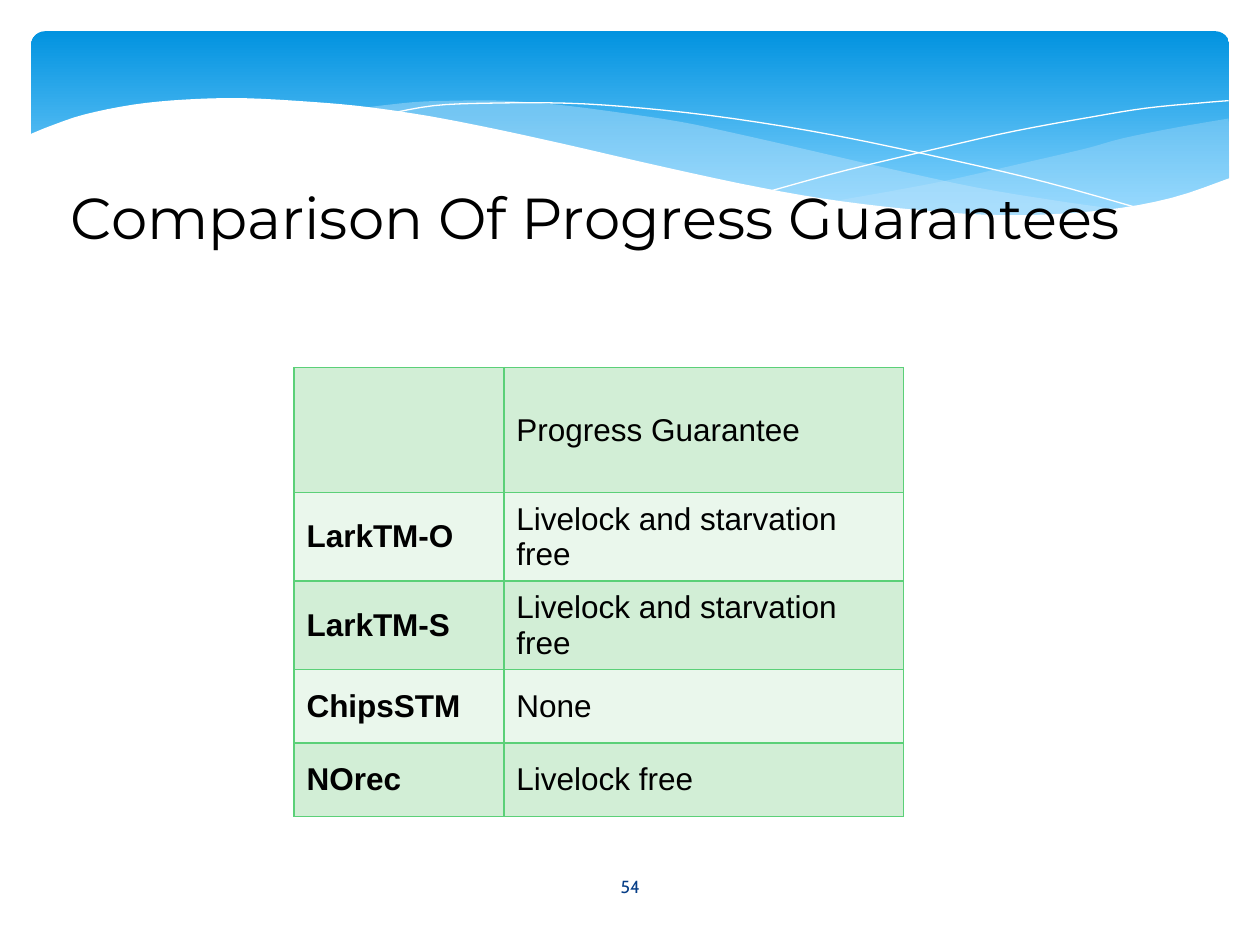
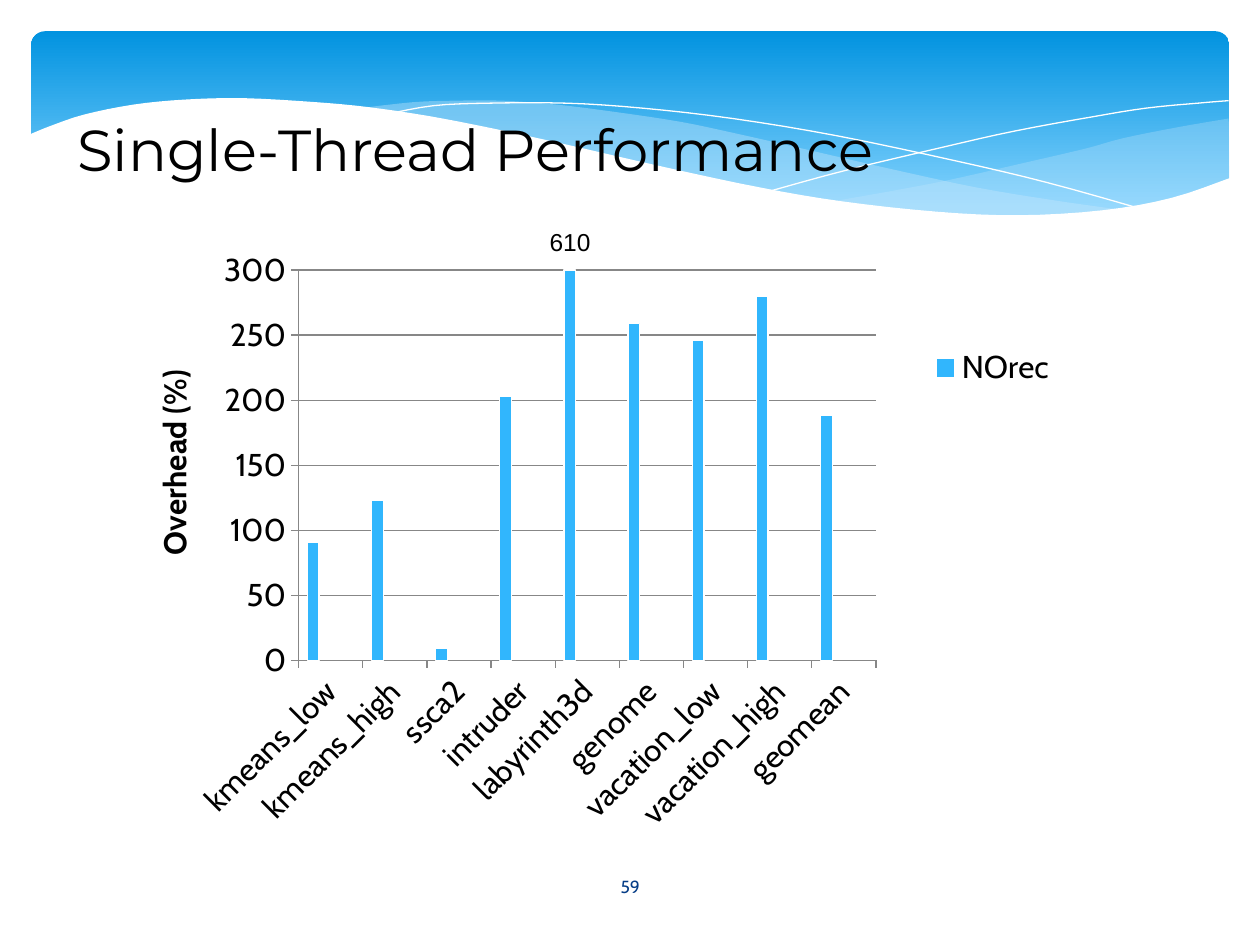
"""Build two slides on progress guarantees and single-thread speed."""
from dataclasses import dataclass
from typing import Any, NamedTuple

from lxml.etree import SubElement as Sub
from pptx import Presentation
from pptx.chart.data import CategoryChartData as ChartData
from pptx.dml.color import RGBColor as Rgb
from pptx.enum.chart import XL_CHART_TYPE as Kind, XL_LEGEND_POSITION as Side, XL_TICK_MARK as Tick
from pptx.enum.shapes import MSO_SHAPE as Form
from pptx.enum.text import MSO_ANCHOR as Anchor, PP_ALIGN as Align
from pptx.oxml import parse_xml
from pptx.oxml.ns import nsdecls, qn
from pptx.util import Cm, Pt


@dataclass(frozen=True)
class Theme:
    black: str = "000000"
    white: str = "FFFFFF"
    navy: str = "073E87"
    deep: str = "0293E0"
    sky: str = "83D3FE"
    mist: str = "C6E7FC"
    edge: str = "5BD078"
    shades: tuple = ("D2EED6", "EAF7EC")
    bars: tuple = ("31B6FD", "7030A0", "00B050", "FF0000")
    gray: str = "878787"
    head: str = "Montserrat"
    body: str = "Arial"
    plot: str = "Cabin"
    large: int = 33
    mid: int = 18
    note: int = 14
    small: int = 10


T = Theme()


class Box(NamedTuple):
    x: float
    y: float
    w: float
    h: float

    def cm(self) -> tuple:
        return tuple(Cm(v) for v in self)


class Style(NamedTuple):
    face: str
    size: int
    tint: str = T.black
    bold: bool = False


class Wave(NamedTuple):
    edges: tuple
    fill: str = ""
    alpha: int = 100


TITLE = Style(T.head, T.large)
PAGE = Style(T.plot, T.small, T.navy)
CELL = Style(T.body, T.mid)
LABEL = Style(T.plot, T.mid)

WAVES = (
    Wave((((24.77, 2.39), (23.72, 2.57), (22.63, 2.79), (21.87, 3), (20.45, 3.33),
           (19.13, 3.63), (17.93, 3.86), (16.79, 4.06)),
          ((16.79, 4.06), (17.91, 4.19), (19.23, 4.29), (20.4, 4.37), (21.69, 4.32),
           (22.78, 4.19), (23.75, 3.96), (24.46, 3.73), (24.79, 3.58))), T.mist, 29),
    Wave((((22.68, 4.24), (21.26, 4.04), (19.69, 3.78), (17.93, 3.4), (15.98, 2.95),
           (14.83, 2.69), (13.74, 2.46), (12.42, 2.26), (11.23, 2.11), (10.13, 2.03),
           (9.17, 2.03), (8.33, 2.06), (7.26, 2.18)),
          ((7.26, 2.18), (8.2, 2.29), (9.73, 2.57), (11.4, 2.95), (13.46, 3.43),
           (15.27, 3.81), (16.89, 4.09), (18.34, 4.27), (19.63, 4.37), (20.78, 4.39),
           (21.77, 4.34), (22.68, 4.24))), T.mist, 40),
    Wave((((7.85, 2.29), (8.74, 2.13), (9.83, 2.08), (11.43, 2.08), (12.95, 2.18),
           (14.78, 2.39), (16.89, 2.74), (19.3, 3.25), (21.11, 3.68), (23.04, 4.22)),)),
    Wave((((15.57, 3.84), (17.07, 3.43), (19, 2.97), (20.47, 2.64), (22, 2.36),
           (23.11, 2.18), (24.16, 2.08), (24.77, 2.03)),)),
    Wave((((24.82, 3.58), (23.62, 3.99), (22.23, 4.24), (20.55, 4.34), (18.9, 4.27),
           (16.97, 4.06), (15.32, 3.78), (13.44, 3.38), (11.35, 2.9), (9.93, 2.59),
           (8.64, 2.34), (7.42, 2.16), (6.35, 2.06), (4.9, 1.98), (3.71, 2.01),
           (2.69, 2.11), (1.7, 2.31), (1.02, 2.54), (0.58, 2.72)),
          ((0.58, 5.69), (24.82, 5.69))), T.white),
)

ROWS = (
    ("", "Progress Guarantee"),
    ("LarkTM-O", "Livelock and starvation free"),
    ("LarkTM-S", "Livelock and starvation free"),
    ("ChipsSTM", "None"),
    ("NOrec", "Livelock free"),
)
COSTS = {"kmeans_low": 91, "kmeans_high": 123, "ssca2": 9, "intruder": 203,
         "labyrinth3d": 610, "genome": 259, "vacation_low": 246,
         "vacation_high": 280, "geomean": 188}


def put(item: Any, vals: dict) -> None:
    for key, val in vals.items():
        setattr(item, key, val)


def dye(font: Any, style: Style) -> None:
    put(font, {"name": style.face, "size": Pt(style.size), "bold": style.bold})
    paint(font.fill, style.tint)


def paint(fill: Any, tint: str) -> None:
    fill.solid()
    fill.fore_color.rgb = Rgb.from_string(tint)


def stroke(line: Any, tint: str, width: float) -> None:
    paint(line.fill, tint)
    line.width = Pt(width)


def smooth(knots: tuple, steps: int = 4) -> list:
    """Sample a Catmull-Rom curve through the knots."""
    ends = (knots[0], *knots, knots[-1])
    dots = []
    for a, b, c, d in zip(ends, ends[1:], ends[2:], ends[3:]):
        for t in (n / steps for n in range(steps)):
            dots.append(tuple(
                b[i] + t / 2 * (c[i] - a[i] + t * (2 * a[i] - 5 * b[i] + 4 * c[i] - d[i]
                                + t * (3 * (b[i] - c[i]) + d[i] - a[i])))
                for i in (0, 1)))
    return [*dots, knots[-1]]


def add_wave(slide: Any, wave: Wave) -> None:
    dots = [(Cm(x), Cm(y)) for edge in wave.edges for x, y in smooth(edge)]
    pen = slide.shapes.build_freeform(*dots[0])
    pen.add_line_segments(dots[1:], close=bool(wave.fill))
    shape = pen.convert_to_shape()
    shape.shadow.inherit = False
    if not wave.fill:
        shape.fill.background()
        stroke(shape.line, T.white, 0)
        return
    paint(shape.fill, wave.fill)
    shape.line.fill.background()
    if wave.alpha < 100:
        hue = shape.fill._xPr.find(qn("a:solidFill"))[0]
        Sub(hue, qn("a:alpha")).set("val", str(wave.alpha * 1000))


def add_band(slide: Any) -> None:
    band = slide.shapes.add_shape(Form.ROUNDED_RECTANGLE, *Box(0.63, 0.63, 24.15, 3.96).cm())
    band.adjustments[0] = 0.07
    band.shadow.inherit = False
    band.line.fill.background()
    band.fill.gradient()
    band.fill.gradient_angle = 270
    for stop, tint, spot in zip(band.fill.gradient_stops, (T.deep, T.sky), (0, 0.9)):
        stop.color.rgb = Rgb.from_string(tint)
        stop.position = spot
    for wave in WAVES:
        add_wave(slide, wave)


def add_text(slide: Any, text: str, box: Box, style: Style,
             anchor: Any = Anchor.TOP, align: Any = Align.LEFT) -> None:
    frame = slide.shapes.add_textbox(*box.cm()).text_frame
    put(frame, {"word_wrap": True, "vertical_anchor": anchor,
                "margin_left": Cm(0.24), "margin_right": Cm(0.24),
                "margin_top": Cm(0.13), "margin_bottom": Cm(0.13)})
    para = frame.paragraphs[0]
    para.alignment = align
    run = para.add_run()
    run.text = text
    dye(run.font, style)


def add_page(deck: Any, title: str, box: Box, page: int) -> Any:
    slide = deck.slides.add_slide(deck.slide_layouts[6])
    add_band(slide)
    add_text(slide, title, box, TITLE, Anchor.BOTTOM)
    add_text(slide, str(page), Box(11.09, 17.37, 3.23, 1.02), PAGE, Anchor.MIDDLE, Align.CENTER)
    return slide


def add_grid(slide: Any, box: Box, cols: tuple, highs: tuple) -> None:
    table = slide.shapes.add_table(len(ROWS), len(cols), *box.cm()).table
    put(table, {"first_row": False, "horz_banding": False})
    for col, wide in zip(table.columns, cols):
        col.width = Cm(wide)
    for r, (row, high) in enumerate(zip(ROWS, highs)):
        table.rows[r].height = Cm(high)
        for c, text in enumerate(row):
            cell = table.cell(r, c)
            put(cell, {"text": text, "vertical_anchor": Anchor.MIDDLE,
                       "margin_left": Cm(0.25), "margin_right": Cm(0.25),
                       "margin_top": Cm(0.13), "margin_bottom": Cm(0.13)})
            para = cell.text_frame.paragraphs[0]
            for part in (para, *para.runs):
                dye(part.font, CELL._replace(bold=c == 0))
            props = cell._tc.get_or_add_tcPr()
            for side in "LRTB":
                props.append(parse_xml(
                    f'<a:ln{side} {nsdecls("a")} w="{Pt(1)}"><a:solidFill>'
                    f'<a:srgbClr val="{T.edge}"/></a:solidFill></a:ln{side}>'))
            paint(cell.fill, T.shades[r % 2])


def place(node: Any, spot: int, box: Box, inner: bool = False) -> None:
    """Give a chart part a fixed place, in shares of the chart."""
    for old in node.findall(qn("c:layout")):
        node.remove(old)
    target = '<c:layoutTarget val="inner"/>' if inner else ""
    modes = '<c:xMode val="edge"/><c:yMode val="edge"/>'
    sizes = "".join(f'<c:{key} val="{val}"/>' for key, val in box._asdict().items())
    node.insert(spot, parse_xml(
        f'<c:layout {nsdecls("c")}><c:manualLayout>{target}{modes}{sizes}'
        f'</c:manualLayout></c:layout>'))


def add_plot(slide: Any, box: Box) -> None:
    data = ChartData()
    data.categories = list(COSTS)
    data.add_series("NOrec", list(COSTS.values()))
    for n in range(2, len(T.bars) + 1):
        data.add_series(f"Series {n}", [None] * len(COSTS))
    chart = slide.shapes.add_chart(Kind.COLUMN_CLUSTERED, *box.cm(), data).chart
    put(chart, {"has_title": False, "has_legend": True})
    dye(chart.font, LABEL)
    put(chart.plots[0], {"gap_width": 150, "overlap": 0, "vary_by_categories": False})
    for bar, tint in zip(chart.plots[0].series, T.bars):
        paint(bar.format.fill, tint)
        stroke(bar.format.line, T.white, 0.75)
        bar.invert_if_negative = False

    cat, val = chart.category_axis, chart.value_axis
    for axis in (cat, val):
        put(axis, {"major_tick_mark": Tick.OUTSIDE, "minor_tick_mark": Tick.NONE})
        stroke(axis.format.line, T.gray, 0.75)
        dye(axis.tick_labels.font, LABEL)
    cat._element.find(qn("c:txPr")).find(qn("a:bodyPr")).set("rot", "-2700000")
    put(val, {"minimum_scale": 0, "maximum_scale": 300, "major_unit": 50,
              "has_major_gridlines": True})
    stroke(val.major_gridlines.format.line, T.gray, 0.75)
    frame = val.axis_title.text_frame
    frame.text = "Overhead (%)"
    dye(frame.paragraphs[0].runs[0].font, LABEL._replace(bold=True))
    place(val.axis_title._element, 1, Box(0.04, 0.18, 0.03, 0.3))

    put(chart.legend, {"position": Side.RIGHT, "include_in_layout": False})
    dye(chart.legend.font, LABEL)
    key = chart.legend._element
    place(key, 1, Box(0.81, 0.15, 0.13, 0.07))
    for n in range(1, len(T.bars)):
        key.insert(n, parse_xml(f'<c:legendEntry {nsdecls("c")}><c:idx val="{n}"/>'
                                '<c:delete val="1"/></c:legendEntry>'))
    place(chart._chartSpace.chart.plotArea, 0, Box(0.19, 0.03, 0.57, 0.62), True)


def main() -> None:
    deck = Presentation()
    put(deck, {"slide_width": Cm(25.4), "slide_height": Cm(19.05)})
    first = add_page(deck, "Comparison Of Progress Guarantees", Box(1.19, 1.39, 24, 3.81), 54)
    add_grid(first, Box(5.93, 7.41, 12.28, 9), (4.23, 8.05), (2.52, 1.76, 1.76, 1.48, 1.48))
    second = add_page(deck, "Single-Thread Performance", Box(1.32, 0.01, 20.07, 3.81), 59)
    add_plot(second, Box(2.14, 5.06, 20.42, 12.7))
    add_text(second, "610", Box(10.84, 4.45, 1.7, 0.86), Style(T.body, T.note))
    deck.save("out.pptx")


if __name__ == "__main__":
    main()
